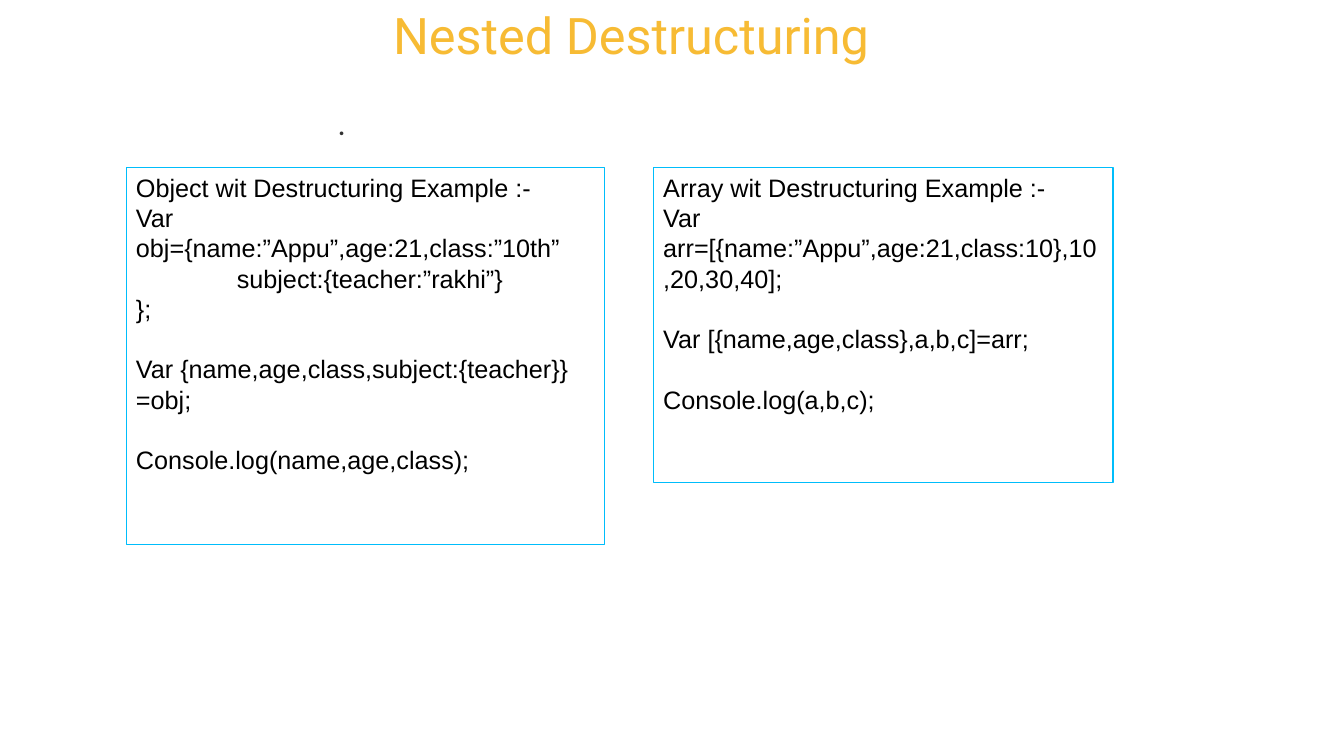
from pptx import Presentation
from pptx.dml.color import RGBColor
from pptx.enum.shapes import MSO_SHAPE
from pptx.enum.text import MSO_ANCHOR, MSO_AUTO_SIZE, PP_ALIGN
from pptx.util import Inches, Pt

LINE_HEIGHT = Pt(21.6)
OBJECT_EXAMPLE = [
    ["Object wit Destructuring Example :-",
     "Var obj={name:”Appu”,age:21,class:”10th”",
     "\tsubject:{teacher:”rakhi”}",
     "};"],
    ["Var {name,age,class,subject:{teacher}}=obj;"],
    ["Console.log(name,age,class);"],
]
ARRAY_EXAMPLE = [
    ["Array wit Destructuring Example :-",
     "Var arr=[{name:”Appu”,age:21,class:10},10,20,30,40];"],
    ["Var [{name,age,class},a,b,c]=arr;"],
    ["Console.log(a,b,c);"],
]


def color(value):
    """Turn a hex string into a colour."""
    return RGBColor.from_string(value)


def inches(box):
    """Turn left, top, width and height into lengths."""
    return [Inches(length) for length in box]


def format_runs(paragraph, font_name, size, hex_color):
    """Set the font of every run in a paragraph."""
    for run in paragraph.runs:
        run.font.name = font_name
        run.font.size = Pt(size)
        run.font.color.rgb = color(hex_color)


def indent(paragraph, length):
    """Move a paragraph in from the left edge of its text."""
    properties = paragraph._p.get_or_add_pPr()
    properties.set("marL", str(Inches(length)))
    properties.set("indent", "0")


def add_title(slide, box, text):
    """Place and format the slide title."""
    title = slide.shapes.title
    title.left, title.top, title.width, title.height = inches(box)
    title.fill.solid()
    title.fill.fore_color.rgb = color("FFFFFF")
    frame = title.text_frame
    frame.text = text
    frame.word_wrap = True
    frame.auto_size = MSO_AUTO_SIZE.NONE
    frame.vertical_anchor = MSO_ANCHOR.MIDDLE
    frame.margin_left = frame.margin_right = Inches(0.13)
    frame.margin_top = frame.margin_bottom = Inches(0.13)
    paragraph = frame.paragraphs[0]
    paragraph.alignment = PP_ALIGN.CENTER
    paragraph.line_spacing = 0.9
    format_runs(paragraph, "Roboto", 36, "F7BB34")


def add_body(slide, box, text):
    """Place the body text behind the examples."""
    frame = slide.shapes.add_textbox(*inches(box)).text_frame
    frame.text = text
    frame.word_wrap = True
    paragraph = frame.paragraphs[0]
    paragraph.alignment = PP_ALIGN.JUSTIFY
    paragraph.line_spacing = 0.9
    paragraph.space_before = Pt(5)
    indent(paragraph, 2)
    format_runs(paragraph, "Inter", 20, "333333")


def add_example(slide, box, groups):
    """Draw an outlined code box with a gap between groups of lines."""
    shape = slide.shapes.add_shape(MSO_SHAPE.RECTANGLE, *inches(box))
    shape.shadow.inherit = False
    shape.fill.background()
    shape.line.color.rgb = color("00BDFB")
    shape.line.width = Pt(0.75)
    frame = shape.text_frame
    frame.word_wrap = True
    frame.vertical_anchor = MSO_ANCHOR.TOP
    frame.text = "\n".join(line for group in groups for line in group)
    paragraphs = iter(frame.paragraphs)
    for group_index, group in enumerate(groups):
        for line_index, line in enumerate(group):
            paragraph = next(paragraphs)
            paragraph.alignment = PP_ALIGN.LEFT
            paragraph.line_spacing = LINE_HEIGHT
            if group_index and not line_index:
                paragraph.space_before = LINE_HEIGHT
            if line.startswith("\t"):
                paragraph.text = line.strip()
                indent(paragraph, 1)
            format_runs(paragraph, "Arial", 18, "000000")


def main():
    """Build and save the slide."""
    presentation = Presentation()
    presentation.slide_width = Inches(13.33)
    presentation.slide_height = Inches(7.5)
    slide = presentation.slides.add_slide(presentation.slide_layouts[5])
    add_title(slide, (0.61, 0, 11.3, 0.75), "Nested Destructuring")
    add_body(slide, (1.25, 1.06, 10.83, 5.96), ".")
    add_example(slide, (1.25, 1.66, 4.75, 3.74), OBJECT_EXAMPLE)
    add_example(slide, (6.48, 1.66, 4.56, 3.13), ARRAY_EXAMPLE)
    presentation.save("out.pptx")


if __name__ == "__main__":
    main()
